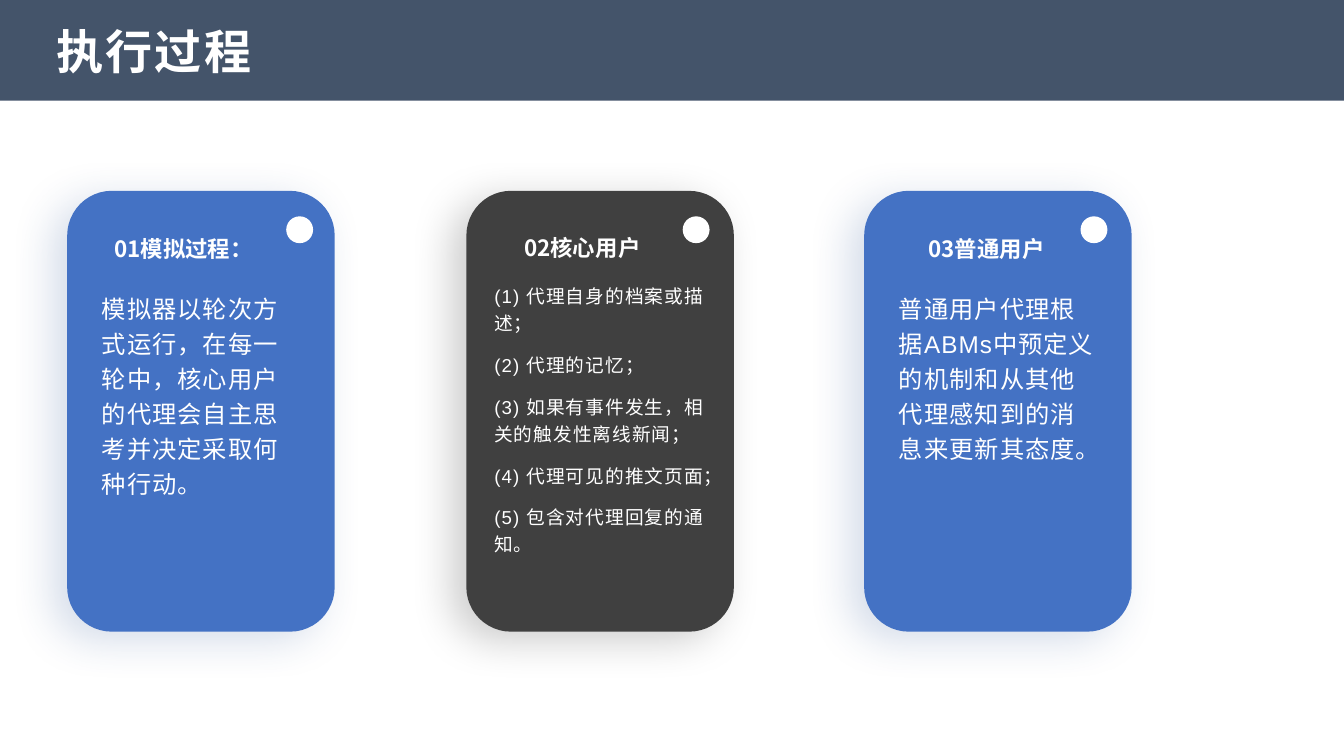
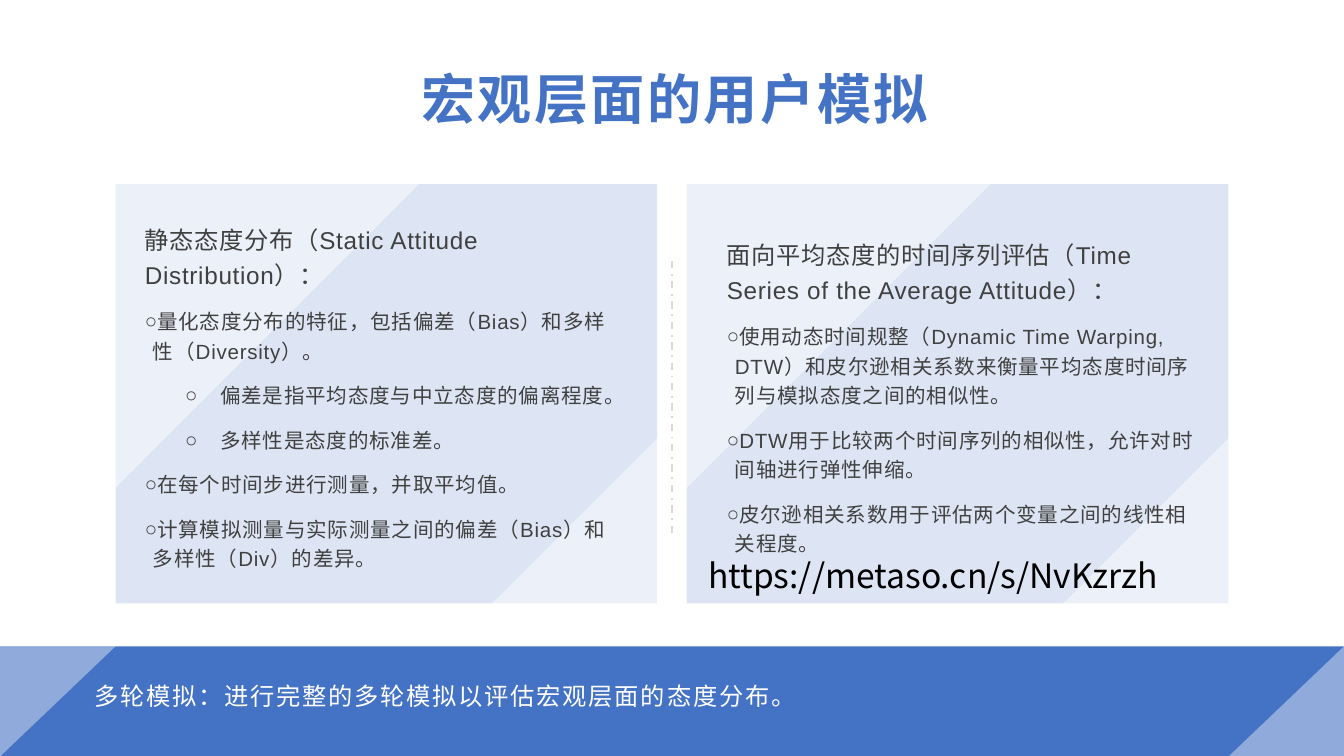
import dataclasses
import lxml.etree
import pptx
import pptx.dml.color
import pptx.enum.dml
import pptx.enum.shapes
import pptx.enum.text
import pptx.oxml.ns
import pptx.util

PX = 9144  # EMU per px, 100 px to the inch
Pt = pptx.util.Pt
Shape = pptx.enum.shapes.MSO_SHAPE
Anchor = pptx.enum.text.MSO_ANCHOR
CENTER = pptx.enum.text.PP_ALIGN.CENTER
qn = pptx.oxml.ns.qn
SANS, BODY = "Noto Sans CJK SC", "Arial"


@dataclasses.dataclass
class Kind:
    """Type style: font, size, colour, tracking and paragraph format."""
    name: str
    size: float
    ink: str
    bold: bool = False
    track: float = 0
    para: dict = dataclasses.field(default_factory=dict)


class Theme:
    white, slate, blue, dark = "FFFFFF", "44546A", "4472C4", "404040"
    pale, mist, rule, navy, black = "DAE3F3", "B4C7E7", "D9D9D9", "2F5597", "000000"
    flow = dict(line_spacing=1.2, space_after=Pt(8))
    mid = dict(alignment=CENTER)
    kinds = dict(
        title=Kind(SANS, 25.2, white, True, 1.2),
        cap=Kind(SANS, 12, white, True, 0, mid),
        wide=Kind(SANS, 12, white, True, 0.6, mid),
        card=Kind(BODY, 13, white, False, 0.6, flow),
        list=Kind(BODY, 10, white, False, 0.6, flow),
        head=Kind(BODY, 29, blue, True, 1.3, dict(alignment=CENTER, line_spacing=0.9)),
        topic=Kind(BODY, 13, dark, False, 0.4, flow),
        point=Kind(BODY, 11, dark, False, 0.4, flow),
        foot=Kind(BODY, 13, white, False, 1, dict(space_after=Pt(8))),
        link=Kind(SANS, 18, black),
    )


def put(item, values):
    for key, value in values.items():
        setattr(item, key, value)


def node(parent, tag, **attrs):
    return lxml.etree.SubElement(parent, qn("a:" + tag), {k: str(v) for k, v in attrs.items()})


class Pen:
    """Holds the deck, its style and the slide being drawn."""

    def __init__(self, theme, wide):
        self.theme = theme
        self.deck = pptx.Presentation()
        put(self.deck, dict(slide_width=wide * PX, slide_height=wide * PX * 9 // 16))

    def page(self):
        self.shapes = self.deck.slides.add_slide(self.deck.slide_layouts[6]).shapes

    def paint(self, shape, fill, alpha=100):
        shape.shadow.inherit = False
        shape.fill.solid()
        shape.fill.fore_color.rgb = pptx.dml.color.RGBColor.from_string(fill)
        shape.line.fill.background()
        if alpha < 100:
            tint = shape._element.spPr.find(qn("a:solidFill"))[0]
            node(tint, "alpha", val=alpha * 1000)
        return shape

    def shape(self, kind, box, fill, alpha=100, flip=None):
        shape = self.shapes.add_shape(kind, *[n * PX for n in box])
        if flip:
            shape._element.spPr.xfrm.set(flip, "1")
        return self.paint(shape, fill, alpha)

    def glow(self, shape, color):
        effects = shape._element.spPr.find(qn("a:effectLst"))
        cast = node(effects, "outerShdw", blurRad=Pt(23), dist=Pt(9),
                    dir=150 * 60000, algn="ctr", rotWithShape=0)
        node(node(cast, "srgbClr", val=color), "alpha", val=20000)

    def free(self, points, fill, alpha):
        path = self.shapes.build_freeform(*points[0], scale=PX)
        path.add_line_segments(points[1:], close=True)
        return self.paint(path.convert_to_shape(), fill, alpha)

    def line(self, start, end, color):
        link = self.shapes.add_connector(pptx.enum.shapes.MSO_CONNECTOR.STRAIGHT,
                                         *[n * PX for n in start + end])
        link.line.color.rgb = pptx.dml.color.RGBColor.from_string(color)
        put(link.line, dict(width=Pt(1), dash_style=pptx.enum.dml.MSO_LINE.DASH_DOT))
        node(link._element.spPr, "effectLst")

    def text(self, box, anchor=Anchor.TOP, inset=(10, 5, 10, 5)):
        frame = self.shapes.add_textbox(*[n * PX for n in box]).text_frame
        left, top, right, base = [n * PX for n in inset]
        put(frame, dict(word_wrap=True, vertical_anchor=anchor, margin_left=left,
                        margin_top=top, margin_right=right, margin_bottom=base))
        return frame

    def para(self, frame, words, kind, indent=None, level=0, bullet=None):
        para = frame.paragraphs[0] if not frame.text else frame.add_paragraph()
        put(para, self.theme.kinds[kind].para)
        para.level = level
        props = para._p.get_or_add_pPr()
        if indent:
            for key, value in zip(("marL", "indent"), indent):
                props.set(key, str(value * PX))
        if bullet:
            node(props, "buFont", typeface=BODY)
            node(props, "buChar", char=bullet)
        self.run(para, words, kind)
        return para

    def run(self, para, words, kind):
        style = self.theme.kinds[kind]
        run = para.add_run()
        run.text = words
        put(run.font, dict(name=style.name, size=Pt(style.size), bold=style.bold))
        run.font.color.rgb = pptx.dml.color.RGBColor.from_string(style.ink)
        props = run._r.get_or_add_rPr()
        if style.track:
            props.set("spc", str(round(style.track * 100)))
        node(props, "ea", typeface=SANS)

    # Card with a caption, a body and a dot
    def card(self, left, fill, shade, dot, cap, body, lines, kind):
        self.glow(self.shape(Shape.ROUNDED_RECTANGLE, (left, 142, 199, 328), fill), shade)
        frame = self.text(body)
        for words in lines:
            self.para(frame, words, kind)
        self.shape(Shape.OVAL, (dot, 161, 20, 20), self.theme.white)
        box, first, *rest = cap
        para = self.para(self.text(box, Anchor.MIDDLE), first, "cap")
        for words in rest:
            self.run(para, words, "wide")

    # Pale panel with two cut corners and a bullet list
    def panel(self, left, text, topic, points):
        top, wide, high, big, small = 137, 403, 312, 226, 123
        right, base = left + wide, top + high
        self.shape(Shape.RIGHT_TRIANGLE, (right - small, base - small, small, small),
                   self.theme.pale, 50, "flipH")
        self.free([(left + big, top), (right, top), (right, base - small),
                   (right - small, base), (left, base), (left, top + big)],
                  self.theme.mist, 45)
        self.shape(Shape.RIGHT_TRIANGLE, (left, top, big, big), self.theme.pale, 50, "flipV")
        frame = self.text((text, 149, 371, 290), Anchor.MIDDLE)
        self.para(frame, topic, "topic", (0, -19))
        for level, words in points:
            self.para(frame, words, "point", (6 + 50 * level, -26), level, "○")


def steps(pen):
    look = pen.theme
    pen.page()
    pen.shape(Shape.RECTANGLE, (0, 0, 1000, 75), look.slate)
    frame = pen.text((37, 13, 925, 50), Anchor.MIDDLE, (5, 2, 5, 2))
    pen.para(frame, "执行过程", "title")
    pen.card(50, look.blue, look.navy, 213, ((61, 166, 151, 38), "01模拟过程："),
             (66, 210, 166, 244),
             ["模拟器以轮次方式运行，在每一轮中，核心用户的代理会自主思考并决定采取何种行动。"], "card")
    pen.card(347, look.dark, look.black, 508, ((358, 166, 151, 37), "02核心", "用户"),
             (358, 204, 177, 245),
             ["(1) 代理自身的档案或描述；", "(2) 代理的记忆；",
              "(3) 如果有事件发生，相关的触发性离线新闻；",
              "(4) 代理可见的推文页面；", "(5) 包含对代理回复的通知。"], "list")
    pen.card(643, look.blue, look.navy, 804, ((653, 165, 162, 40), "03普通用户"),
             (659, 210, 166, 244),
             ["普通用户代理根据ABMs中预定义的机制和从其他代理感知到的消息来更新其态度。"], "card")


def macro(pen):
    look = pen.theme
    pen.page()
    # Footer band
    pen.shape(Shape.RECTANGLE, (0, 481, 1000, 82), look.blue)
    for left, flip in ((0, "flipV"), (914, "flipH")):
        pen.shape(Shape.RIGHT_TRIANGLE, (left, 481, 86, 82), look.pale, 50, flip)
    frame = pen.text((63, 492, 874, 51), Anchor.MIDDLE, (7, 4, 7, 4))
    pen.para(frame, "多轮模拟：进行完整的多轮模拟以评估宏观层面的态度分布。", "foot")
    # Heading
    frame = pen.text((98, 51, 805, 57), inset=(8, 3, 5, 3))
    pen.para(frame, "宏观层面的用户模拟", "head")
    # Panels
    pen.panel(86, 98, "静态态度分布（Static Attitude Distribution）：", [
        (0, "量化态度分布的特征，包括偏差（Bias）和多样性（Diversity）。"),
        (1, "偏差是指平均态度与中立态度的偏离程度。"),
        (1, "多样性是态度的标准差。"),
        (0, "在每个时间步进行测量，并取平均值。"),
        (0, "计算模拟测量与实际测量之间的偏差（Bias）和多样性（Div）的差异。")])
    pen.panel(511, 531, "面向平均态度的时间序列评估（Time Series of the Average Attitude）：", [
        (0, "使用动态时间规整（Dynamic Time Warping, DTW）和皮尔逊相关系数来衡量"
            "平均态度时间序列与模拟态度之间的相似性。"),
        (0, "DTW用于比较两个时间序列的相似性，允许对时间轴进行弹性伸缩。"),
        (0, "皮尔逊相关系数用于评估两个变量之间的线性相关程度。")])
    pen.line((500, 194), (500, 400), look.rule)
    # Web address
    frame = pen.text((517, 408, 389, 40))
    frame.auto_size = pptx.enum.text.MSO_AUTO_SIZE.SHAPE_TO_FIT_TEXT
    pen.para(frame, "https://metaso.cn/s/NvKzrzh", "link")


def main():
    pen = Pen(Theme(), 1000)
    steps(pen)
    macro(pen)
    pen.deck.save("out.pptx")


if __name__ == "__main__":
    main()
